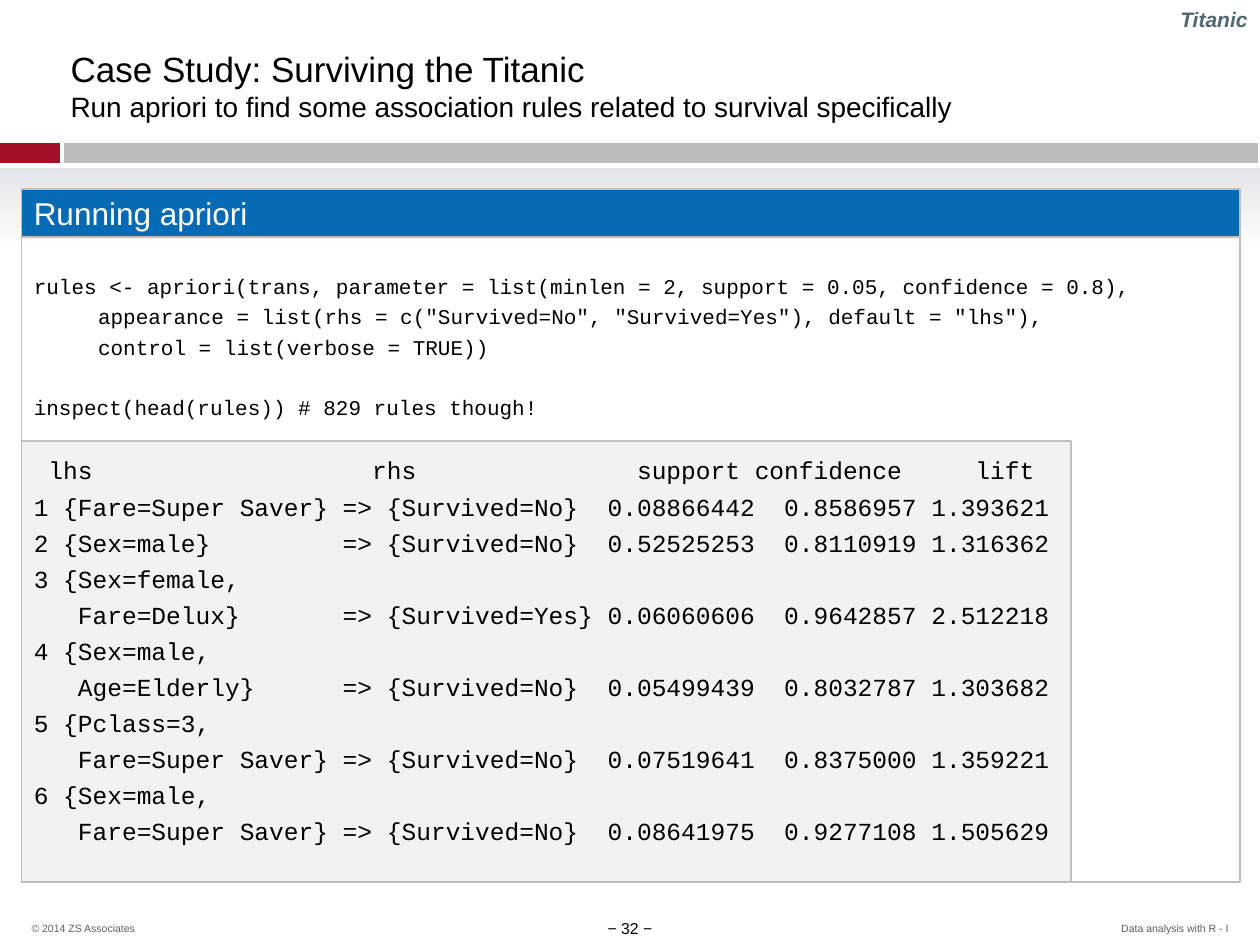
"""Build the slide on running apriori over the Titanic data."""
from dataclasses import dataclass

from pptx import Presentation
from pptx.dml.color import RGBColor
from pptx.enum.shapes import MSO_SHAPE
from pptx.enum.text import MSO_ANCHOR, PP_ALIGN
from pptx.util import Inches, Pt

RECTANGLE = MSO_SHAPE.RECTANGLE
TOP, MIDDLE, BOTTOM = MSO_ANCHOR.TOP, MSO_ANCHOR.MIDDLE, MSO_ANCHOR.BOTTOM
LEFT, CENTER, RIGHT = PP_ALIGN.LEFT, PP_ALIGN.CENTER, PP_ALIGN.RIGHT


@dataclass(frozen=True)
class Theme:
    black: str = "000000"
    white: str = "FFFFFF"
    red: str = "A41128"
    gray: str = "BBBBBA"
    fade: str = "E4E6EB"
    border: str = "BFBFBF"
    output_fill: str = "F2F2F2"
    blue: str = "076AB5"
    footer: str = "5F5F5F"
    tag: str = "506772"
    body_font: str = "Arial"
    code_font: str = "Courier New"
    title_size: int = 20
    subtitle_size: int = 16
    heading_size: int = 18
    output_size: int = 14
    code_size: int = 12
    page_size: int = 9
    footer_size: int = 6


CODE = [
    "rules <- apriori(trans, parameter = list(minlen = 2, support = 0.05, confidence = 0.8),",
    '\tappearance = list(rhs = c("Survived=No", "Survived=Yes"), default = "lhs"),',
    "\tcontrol = list(verbose = TRUE))",
]
INSPECT = ["inspect(head(rules)) # 829 rules though!"]
OUTPUT = [
    " lhs                   rhs               support confidence     lift",
    "1 {Fare=Super Saver} => {Survived=No}  0.08866442  0.8586957 1.393621",
    "2 {Sex=male}         => {Survived=No}  0.52525253  0.8110919 1.316362",
    "3 {Sex=female,",
    "   Fare=Delux}       => {Survived=Yes} 0.06060606  0.9642857 2.512218",
    "4 {Sex=male,",
    "   Age=Elderly}      => {Survived=No}  0.05499439  0.8032787 1.303682",
    "5 {Pclass=3,",
    "   Fare=Super Saver} => {Survived=No}  0.07519641  0.8375000 1.359221",
    "6 {Sex=male,",
    "   Fare=Super Saver} => {Survived=No}  0.08641975  0.9277108 1.505629",
]


class SlideBuilder:
    """Hold the theme and the current slide."""

    def __init__(self, slide, theme):
        self.slide = slide
        self.theme = theme

    def rectangle(self, left, top, width, height, fill=None, line=None, weight=1):
        shape = self.slide.shapes.add_shape(
            RECTANGLE, Inches(left), Inches(top), Inches(width), Inches(height))
        shape.shadow.inherit = False
        if fill:
            shape.fill.solid()
            shape.fill.fore_color.rgb = RGBColor.from_string(fill)
        else:
            shape.fill.background()
        if line:
            shape.line.color.rgb = RGBColor.from_string(line)
            shape.line.width = Pt(weight)
        else:
            shape.line.fill.background()
        return shape

    def gradient(self, left, top, width, height, colors):
        shape = self.rectangle(left, top, width, height)
        shape.fill.gradient()
        shape.fill.gradient_angle = 270
        for stop, color in zip(shape.fill.gradient_stops, colors):
            stop.color.rgb = RGBColor.from_string(color)

    def frame(self, shape, anchor, margins=(0.1, 0.05)):
        text_frame = shape.text_frame
        text_frame.word_wrap = True
        text_frame.vertical_anchor = anchor
        text_frame.margin_left = text_frame.margin_right = Inches(margins[0])
        text_frame.margin_top = text_frame.margin_bottom = Inches(margins[1])
        return text_frame

    def style(self, paragraph, sizes, color, font, align=LEFT):
        paragraph.alignment = align
        for run, size in zip(paragraph.runs, sizes):
            run.font.size = Pt(size)
            run.font.name = font
            run.font.color.rgb = RGBColor.from_string(color)

    def label(self, shape, text, sizes, color, anchor, align=LEFT, margins=(0.1, 0.05)):
        text_frame = self.frame(shape, anchor, margins)
        text_frame.text = text
        paragraph = text_frame.paragraphs[0]
        self.style(paragraph, sizes, color, self.theme.body_font, align)
        return paragraph

    def text(self, left, top, width, height, *args, **options):
        box = self.slide.shapes.add_textbox(
            Inches(left), Inches(top), Inches(width), Inches(height))
        return self.label(box, *args, **options)

    def code(self, shape, blocks):
        """Write blocks of (lines, size, line gap in points, block gap in points)."""
        text_frame = self.frame(shape, MIDDLE)
        text_frame.text = "\n".join(line for block in blocks for line in block[0])
        paragraphs = iter(text_frame.paragraphs)
        for lines, size, line_gap, block_gap in blocks:
            for index in range(len(lines)):
                paragraph = next(paragraphs)
                properties = paragraph._p.get_or_add_pPr()
                properties.set("marL", str(Inches(0.51)))
                properties.set("indent", str(-Inches(0.51)))
                paragraph.space_before = Pt(line_gap if index else block_gap)
                self.style(paragraph, [size], self.theme.black, self.theme.code_font)


def main():
    theme = Theme()
    presentation = Presentation()
    presentation.slide_width = Inches(10)
    presentation.slide_height = Inches(7.5)
    slide = presentation.slides.add_slide(presentation.slide_layouts[6])
    builder = SlideBuilder(slide, theme)

    builder.rectangle(0, 1.14, 0.47, 0.15, theme.red, theme.red, 0.25)
    builder.rectangle(0.51, 1.14, 9.47, 0.15, theme.gray, theme.gray, 0.25)
    builder.gradient(0, 1.33, 10, 0.69, (theme.fade, theme.white))

    for left, text, align in ((7.37, "Data analysis with R - I", RIGHT),
                              (0.25, "© 2014 ZS Associates", LEFT)):
        paragraph = builder.text(left, 7.28, 2.38, 0.14, text, [theme.footer_size],
                                 theme.footer, BOTTOM, align, (0, 0))
        paragraph.line_spacing = 0.8
    builder.text(4.5, 7.29, 1, 0.15, "− 32 −", [theme.page_size],
                 theme.black, TOP, CENTER, (0.1, 0))

    builder.text(0.47, 0.34, 9.05, 0.68,
                 "Case Study: Surviving the Titanic\v"
                 "Run apriori to find some association rules related to survival specifically",
                 [theme.title_size, theme.subtitle_size], theme.black, MIDDLE,
                 margins=(0.09, 0.04))

    builder.rectangle(0.17, 3.5, 8.33, 3.5, theme.output_fill, theme.border)
    panel = builder.rectangle(0.17, 1.88, 9.67, 5.12, line=theme.border)
    builder.code(panel, [
        (CODE, theme.code_size, 3.1, 0),
        (INSPECT, theme.code_size, 3.1, 19.8),
        (OUTPUT, theme.output_size, 3.8, 20.5),
    ])
    heading = builder.rectangle(0.17, 1.5, 9.67, 0.38, theme.blue, theme.border)
    builder.label(heading, "Running apriori", [theme.heading_size], theme.white, MIDDLE)

    tag = builder.text(7.75, 0, 2.25, 0.3, "Titanic", [theme.code_size],
                       theme.tag, BOTTOM, RIGHT)
    tag.runs[0].font.bold = True
    tag.runs[0].font.italic = True

    presentation.save("out.pptx")


if __name__ == "__main__":
    main()
